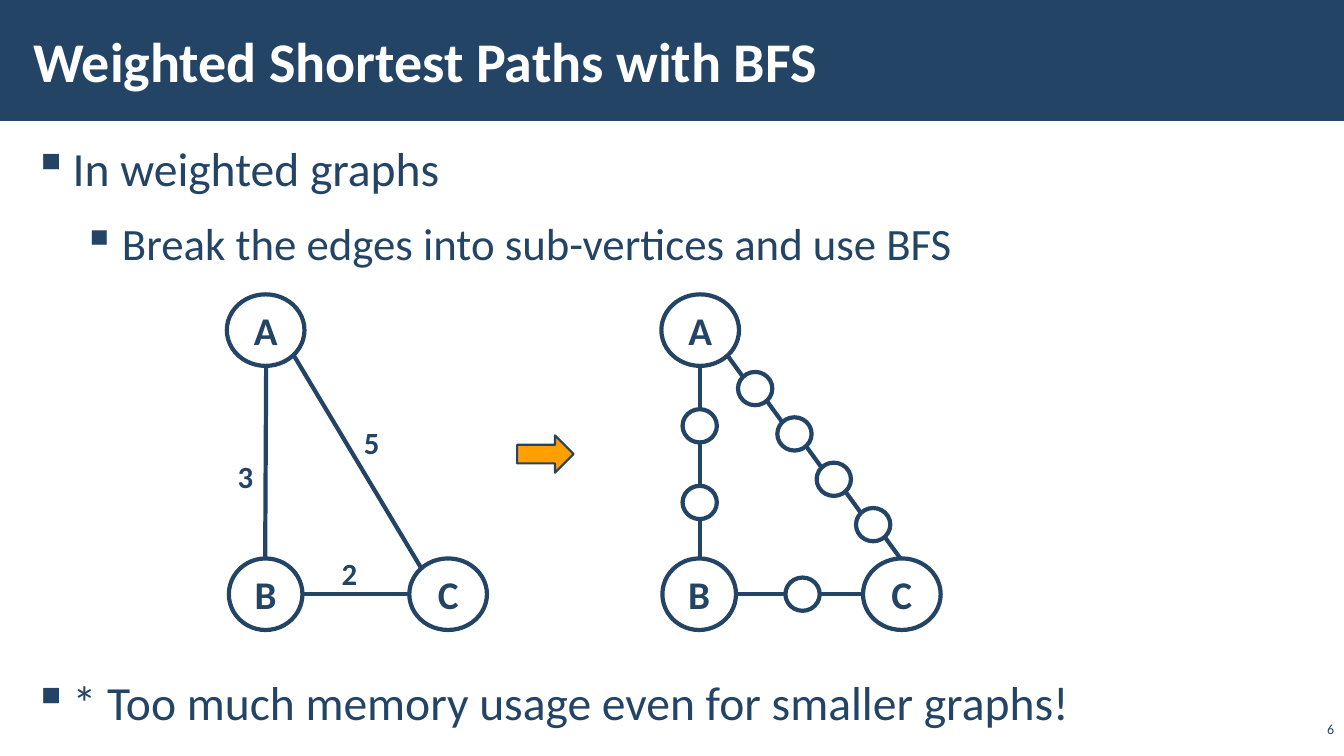
"""Builds the slide on weighted shortest paths with BFS."""
from lxml.etree import SubElement
from pptx import Presentation
from pptx.dml.color import RGBColor
from pptx.enum.shapes import MSO_CONNECTOR, MSO_SHAPE
from pptx.enum.text import MSO_ANCHOR, PP_ALIGN
from pptx.oxml.ns import qn
from pptx.util import Pt

PX = 9144
NAVY = RGBColor(0x23, 0x44, 0x65)
WHITE = RGBColor(0xFF, 0xFF, 0xFF)
ORANGE = RGBColor(0xFF, 0xA0, 0x00)

deck = Presentation()
deck.slide_width, deck.slide_height = 1333 * PX, 750 * PX
slide = deck.slides.add_slide(deck.slide_layouts[6])
shapes = slide.shapes


def write(shape, lines, size, color=NAVY, bold=False, margins=(10, 5)):
    frame = shape.text_frame
    frame.text = lines
    frame.margin_left = frame.margin_right = margins[0] * PX
    frame.margin_top = frame.margin_bottom = margins[1] * PX
    for paragraph in frame.paragraphs:
        for run in paragraph.runs:
            run.font.name = "Calibri"
            run.font.size = Pt(size)
            run.font.bold = bold
            run.font.color.rgb = color
    return frame


def add_solid(kind, box, fill, line_width=None):
    shape = shapes.add_shape(kind, *(n * PX for n in box))
    shape.shadow.inherit = False
    shape.fill.solid()
    shape.fill.fore_color.rgb = fill
    if line_width:
        shape.line.color.rgb = NAVY
        shape.line.width = Pt(line_width)
    else:
        shape.line.fill.background()
    return shape


add_solid(MSO_SHAPE.RECTANGLE, (0, 0, 1333, 120), NAVY)
title = shapes.add_textbox(21 * PX, 11 * PX, 1063 * PX, 97 * PX)
title_frame = write(title, "Weighted Shortest Paths with BFS", 40, WHITE, True, (12, 4))
title_frame.word_wrap = True
title_frame.vertical_anchor = MSO_ANCHOR.MIDDLE

bullet_blocks = [
    (131, 150, "In weighted graphs\nBreak the edges into sub-vertices and use BFS"),
    (661, 75, "* Too much memory usage even for smaller graphs!"),
]
for top, height, lines in bullet_blocks:
    body = shapes.add_textbox(21 * PX, top * PX, 1292 * PX, height * PX)
    body_frame = write(body, lines, 34, margins=(12, 4))
    body_frame.word_wrap = True
    for level, paragraph in enumerate(body_frame.paragraphs):
        paragraph.level = level
        paragraph.line_spacing = 1.05
        paragraph.space_before = paragraph.space_after = Pt(6)
        paragraph.runs[0].font.size = Pt(34 - 2 * level)
        properties = paragraph._p.get_or_add_pPr()
        properties.set("marL", str((39 + 49 * level) * PX))
        properties.set("indent", str(-39 * PX))
        SubElement(properties, qn("a:buChar"), char="▪")

weighted_edges = [(264, 363, 263, 554), (300, 589, 406, 589), (291, 352, 418, 564)]
split_edges = [(694, 363, 694, 406), (694, 439, 694, 482), (694, 515, 694, 554),
               (730, 589, 779, 589), (813, 589, 856, 589)]
split_edges += [(721 + 39 * i, 352 + 45 * i, 737 + 39 * i, 374 + 45 * i) for i in range(5)]
for ends in weighted_edges + split_edges:
    edge = shapes.add_connector(MSO_CONNECTOR.STRAIGHT, *(n * PX for n in ends))
    edge.line.color.rgb = NAVY
    edge.line.width = Pt(3)
    SubElement(edge._element.spPr, qn("a:effectLst"))

vertices = [("A", 225, 292, 77, 71), ("B", 227, 554, 73, 71), ("C", 406, 554, 77, 71),
            ("A", 656, 292, 77, 71), ("B", 657, 554, 73, 71), ("C", 856, 554, 77, 71)]
sub_vertices = [("", 677, 406 + 76 * i, 34, 33) for i in range(2)]
sub_vertices += [("", 779, 573, 34, 33)]
sub_vertices += [("", 732 + 39 * i, 369 + 45 * i, 34, 33) for i in range(4)]
for name, *box in vertices + sub_vertices:
    vertex = add_solid(MSO_SHAPE.OVAL, box, WHITE, 3)
    white_fill = vertex._element.spPr.find(qn("a:solidFill"))
    SubElement(white_fill[0], qn("a:alpha"), val="50000")
    if name:
        vertex_frame = write(vertex, name, 28, bold=True, margins=(4, 5))
        vertex_frame.vertical_anchor = MSO_ANCHOR.MIDDLE
        vertex_frame.paragraphs[0].alignment = PP_ALIGN.CENTER

for weight, left, top in [("3", 226, 449), ("5", 351, 415), ("2", 329, 545)]:
    weight_label = shapes.add_textbox(left * PX, top * PX, 36 * PX, 47 * PX)
    write(weight_label, weight, 22, bold=True).word_wrap = False

add_solid(MSO_SHAPE.RIGHT_ARROW, (513, 432, 56, 37), ORANGE, 1.5)

page_number = shapes.add_textbox(1286 * PX, 714 * PX, 47 * PX, 22 * PX)
page_frame = write(page_number, "6", 10)
page_frame.word_wrap = True
page_frame.vertical_anchor = MSO_ANCHOR.BOTTOM
page_frame.paragraphs[0].alignment = PP_ALIGN.RIGHT

deck.save("out.pptx")
